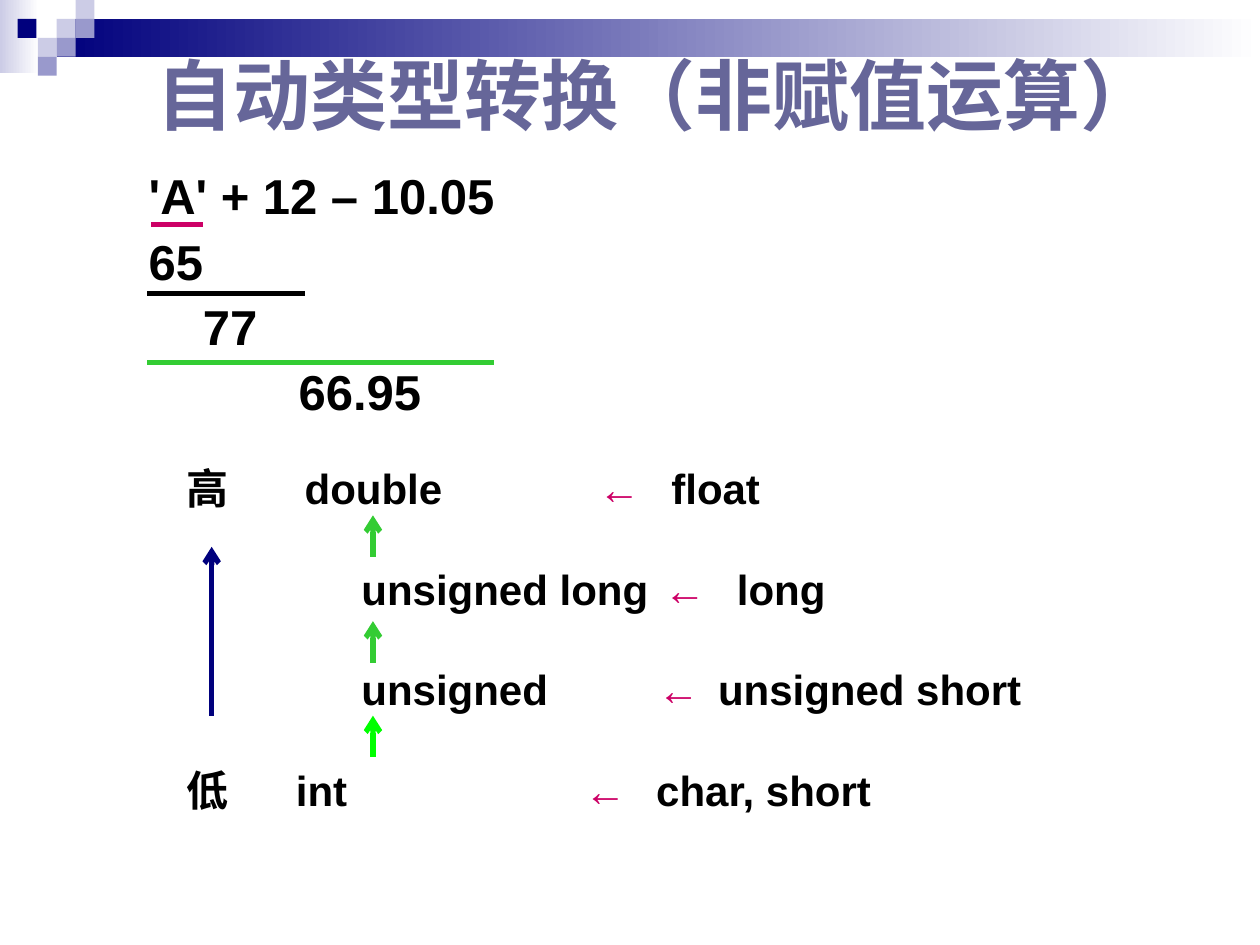
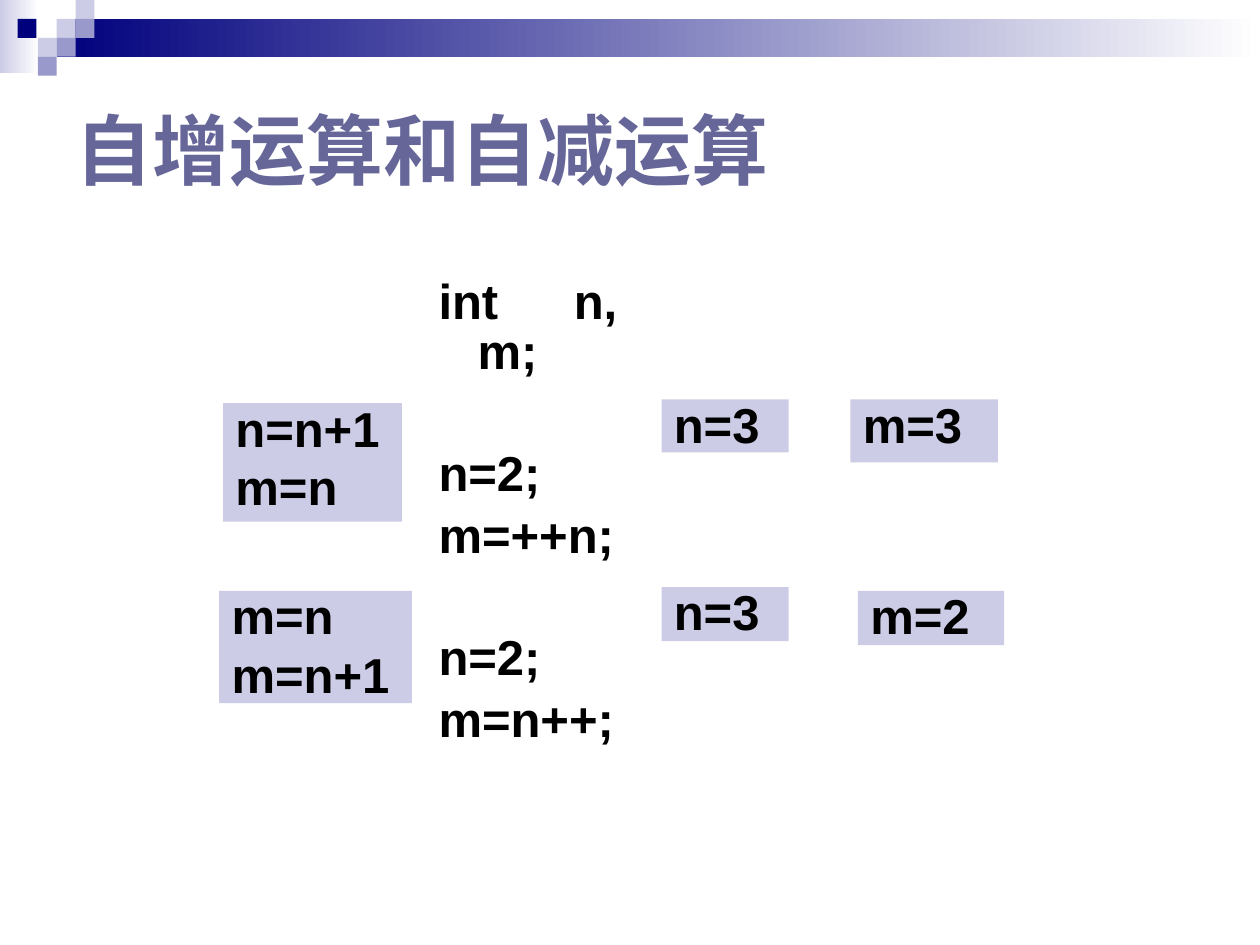
from lxml import etree
from pptx import Presentation
from pptx import util as u
from pptx.dml.color import RGBColor
from pptx.enum import shapes, text
from pptx.oxml.ns import qn

NAVY = RGBColor(0x00, 0x00, 0x7D)
PALE = RGBColor(0xCC, 0xCC, 0xE6)
MID = RGBColor(0x99, 0x99, 0xCC)
SLATE = RGBColor(0x66, 0x66, 0x99)
WHITE = RGBColor(0xFF, 0xFF, 0xFF)
BLACK = RGBColor(0x00, 0x00, 0x00)
PINK = RGBColor(0xCC, 0x00, 0x66)
GREEN = RGBColor(0x33, 0xCC, 0x33)
LIME = RGBColor(0x00, 0xFF, 0x00)
FONT = "Arial"
CELL = 0.15
TILES = [(3, 1, PALE), (4, 0, PALE), (4, 1, MID), (2, 2, PALE),
         (0.93, 1, NAVY), (3, 2, MID), (2, 3, MID)]


class Deck:
    """Holds the shared style and draws on the current slide."""

    def __init__(self):
        self.prs = Presentation()
        self.prs.slide_width = u.Inches(10)
        self.prs.slide_height = u.Inches(7.5)

    def style(self, para, size, color=BLACK, align=text.PP_ALIGN.LEFT):
        font = para.font
        font.name, font.size, font.bold = FONT, u.Pt(size), True
        font.color.rgb = color
        para.alignment = align

    def place(self, item, at):
        item.left, item.top, item.width, item.height = map(u.Inches, at)
        item.text_frame.auto_size = text.MSO_AUTO_SIZE.NONE
        item.text_frame.word_wrap = True

    def rect(self, at, *colors):
        box = self.slide.shapes.add_shape(
            shapes.MSO_SHAPE.RECTANGLE, *map(u.Inches, at))
        box.shadow.inherit = False
        box.line.fill.background()
        if len(colors) == 1:
            box.fill.solid()
            box.fill.fore_color.rgb = colors[0]
        else:
            box.fill.gradient()
            box.fill.gradient_angle = 0
            for stop, color in zip(box.fill.gradient_stops, colors):
                stop.color.rgb = color
        return box

    def start(self, title, at):
        self.slide = self.prs.slides.add_slide(self.prs.slide_layouts[1])
        self.rect((0, 0, 0.31, 0.58), PALE, WHITE)
        self.rect((0.45, CELL, 9.55, 0.3), NAVY, WHITE)
        for col, row, color in TILES:
            self.rect((col * CELL, row * CELL, CELL, CELL), color)
        head = self.slide.shapes.title
        self.place(head, at)
        frame = head.text_frame
        frame.text = title
        frame.vertical_anchor = text.MSO_ANCHOR.MIDDLE
        self.style(frame.paragraphs[0], 44, SLATE)

    def fill(self, frame, lines, spacing, gap):
        frame.text = "\n".join(lines)
        for para in frame.paragraphs:
            self.style(para, 28)
            para.line_spacing = spacing
            para.space_before = u.Pt(gap)

    def body(self, at, lines, spacing, margins, hang=0):
        item = self.slide.placeholders[1]
        self.place(item, at)
        self.fill(item.text_frame, lines, spacing, 7)
        for para, margin in zip(item.text_frame.paragraphs, margins):
            para.alignment = text.PP_ALIGN.JUSTIFY
            props = para._p.get_or_add_pPr()
            props.set("marL", str(u.Inches(margin + hang)))
            props.set("indent", str(u.Inches(-hang)))
            etree.SubElement(props, qn("a:buNone"))
        return item.text_frame.paragraphs

    def note(self, at, *lines):
        frame = self.rect(at, PALE).text_frame
        frame.word_wrap = True
        frame.vertical_anchor = text.MSO_ANCHOR.TOP
        self.fill(frame, lines, 0.8, 6.5)

    def rows(self, at, rows, pitch):
        frame = self.slide.shapes.add_textbox(
            *map(u.Inches, at)).text_frame
        frame.word_wrap = True
        for num, (level, name, source, stops) in enumerate(rows):
            para = frame.paragraphs[0] if num == 0 else frame.add_paragraph()
            self.style(para, 24)
            para.line_spacing = u.Inches(pitch)
            for word, color in ((f"{level}\t{name}\t", BLACK), ("←", PINK),
                                (f"\t{source}", BLACK)):
                run = para.add_run()
                run.text = word
                run.font.color.rgb = color
            tabs = etree.Element(qn("a:tabLst"))
            for stop in stops:
                etree.SubElement(tabs, qn("a:tab"),
                                 pos=str(u.Inches(stop)), algn="l")
            props = para._p.get_or_add_pPr()
            props.find(qn("a:defRPr")).addprevious(tabs)

    def line(self, x, y, end_x, end_y, color, arrow=False):
        link = self.slide.shapes.add_connector(
            shapes.MSO_CONNECTOR.STRAIGHT,
            *map(u.Inches, (x, y, end_x, end_y)))
        link.line.color.rgb = color
        link.line.width = u.Pt(3)
        if arrow:
            etree.SubElement(link.line._get_or_add_ln(),
                             qn("a:tailEnd"), type="arrow")
        etree.SubElement(link._element.spPr, qn("a:effectLst"))


def casts(deck):
    deck.start("自动类型转换（非赋值运算）", (1.14, 0.28, 8.74, 0.92))
    deck.body((0.58, 1.32, 4.02, 2.19),
              ["'A' + 12 – 10.05", "65", "77", "66.95"],
              0.9, [0.5, 0.5, 0.93, 1.69])
    for x, end, y, color in ((1.2, 1.61, 1.78, PINK),
                             (1.17, 2.42, 2.33, BLACK),
                             (1.17, 3.92, 2.88, GREEN)):
        deck.line(x, y, end, y, color)
    deck.rows((1.38, 3.22, 7.42, 3.54), [
        ("高", "double", "float", (0.94, 3.27, 3.85)),
        ("", "unsigned long", "long", (1.39, 3.79, 4.37)),
        ("", "unsigned", "unsigned short", (1.39, 3.74, 4.22)),
        ("低", "int", "char, short", (0.87, 3.16, 3.73))], 0.8)
    deck.line(1.68, 5.68, 1.68, 4.34, NAVY, True)
    for y, color in ((4.09, GREEN), (4.93, GREEN), (5.68, LIME)):
        deck.line(2.96, y + 0.33, 2.96, y, color, True)


def steps(deck):
    deck.start("自增运算和自减运算", (0.5, 0.5, 7.73, 1.36))
    paras = deck.body((2.79, 2.17, 2.21, 3.17),
                      ["int n, m;", "n=2;", "m=++n;", "n=2;", "m=n++;"],
                      0.85, [0.59] * 5, 0.31)
    for para in paras[1::2]:
        para.space_before = u.Pt(41)
    deck.note((5.25, 3.17, 1.01, 0.42), "n=3")
    deck.note((5.25, 4.66, 1.01, 0.43), "n=3")
    deck.note((6.75, 3.17, 1.17, 0.5), "m=3")
    deck.note((6.81, 4.69, 1.16, 0.43), "m=2")
    deck.note((1.74, 4.69, 1.53, 0.89), "m=n", "m=n+1")
    deck.note((1.77, 3.2, 1.42, 0.94), "n=n+1", "m=n")


def main():
    deck = Deck()
    casts(deck)
    steps(deck)
    deck.prs.save("out.pptx")


if __name__ == "__main__":
    main()
